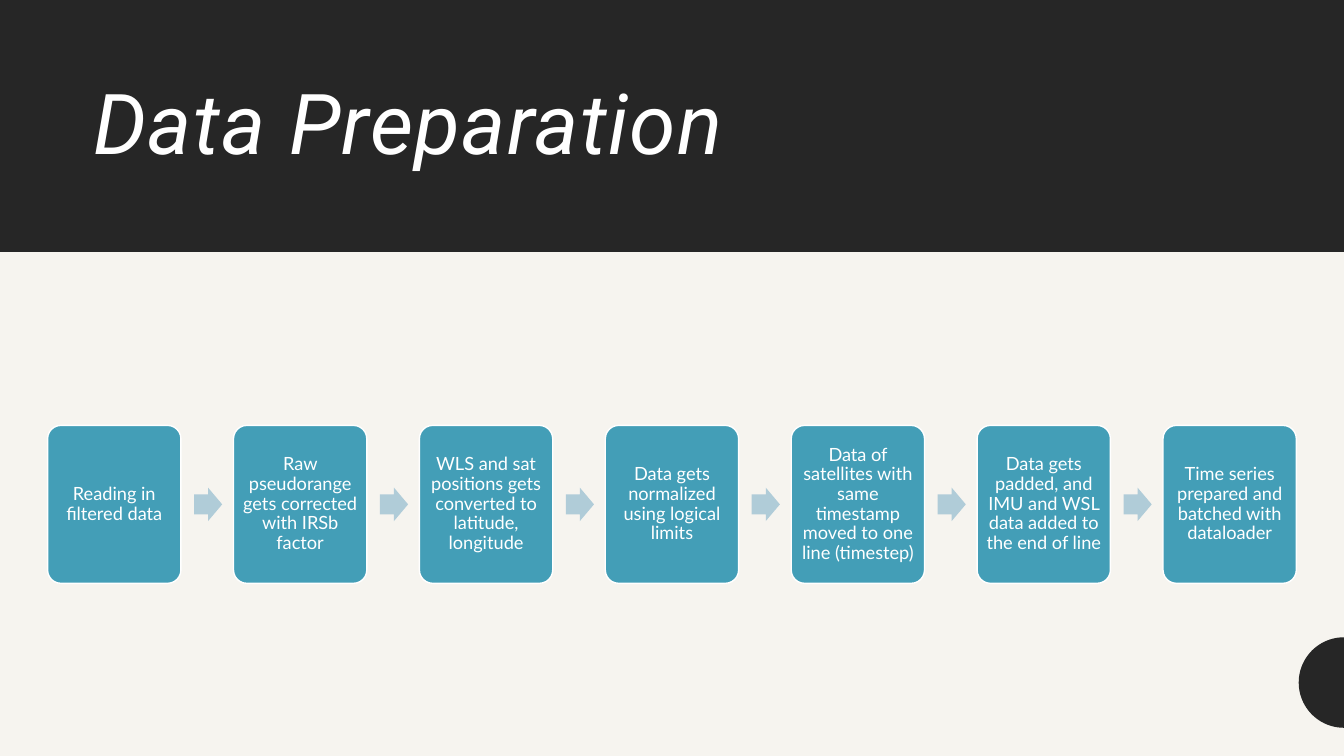
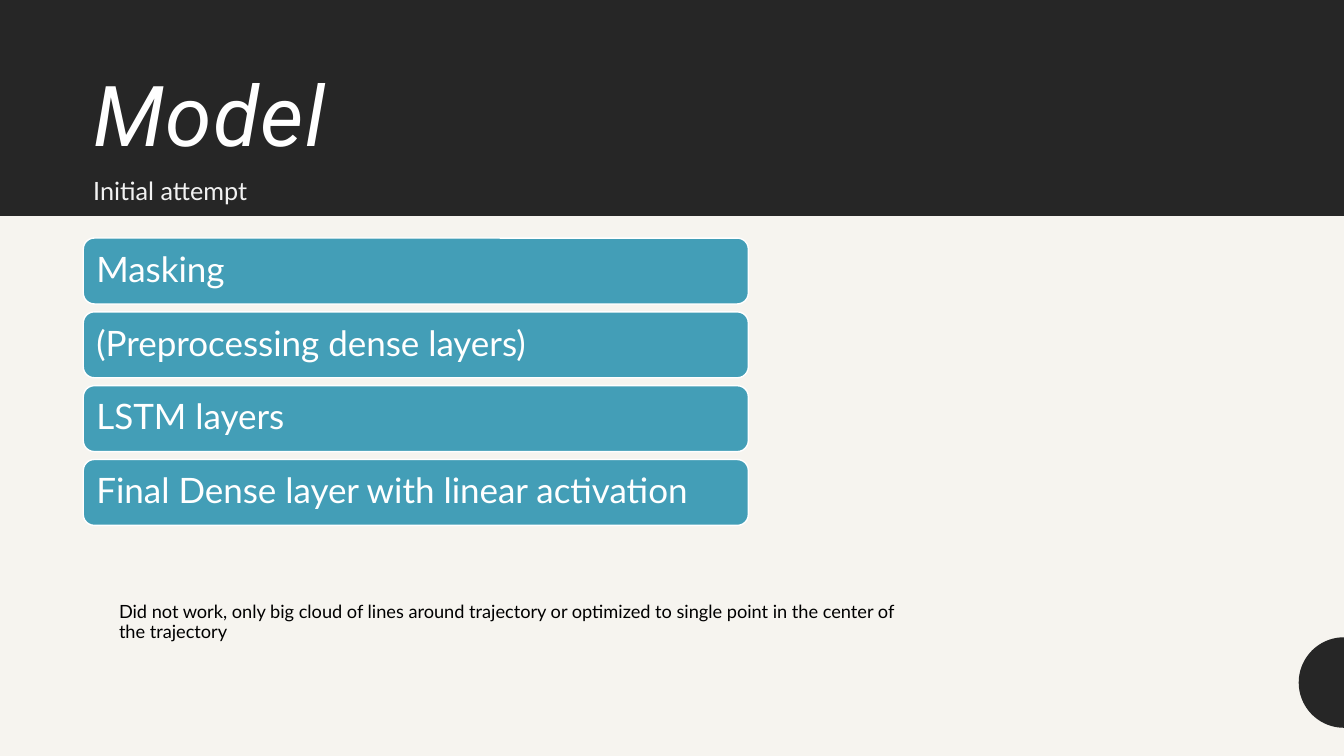
from dataclasses import dataclass
from math import cos, pi, sin

from pptx import Presentation
from pptx.dml.color import RGBColor
from pptx.enum.shapes import MSO_SHAPE
from pptx.enum.text import MSO_ANCHOR, MSO_AUTO_SIZE, PP_ALIGN
from pptx.util import Cm, Pt


@dataclass(frozen=True)
class Theme:
    paper: str = "F6F4EF"
    dark: str = "262626"
    teal: str = "439EB7"
    arrow: str = "B0CCD8"
    white: str = "FFFFFF"
    pale: str = "F2F2F2"
    black: str = "000000"
    title_font: str = "Roboto"
    body_font: str = "Lato"
    title_size: int = 60
    subtitle_size: int = 18
    layer_size: int = 25
    small_size: int = 13


THEME = Theme()
WIDTH, HEIGHT = 33.87, 19.05
MARGIN = 2.1

STEPS = [
    "Reading in filtered data",
    "Raw pseudorange gets corrected with IRSb factor",
    "WLS and sat positions gets converted to latitude, longitude",
    "Data gets normalized using logical limits",
    "Data of satellites with same timestamp moved to one line (timestep)",
    "Data gets padded, and IMU and WSL data added to the end of line",
    "Time series prepared and batched with dataloader",
]
LAYERS = [
    "Masking",
    "(Preprocessing dense layers)",
    "LSTM layers",
    "Final Dense layer with linear activation",
]


def paint(shape, fill, line=None):
    shape.shadow.inherit = False
    shape.fill.solid()
    shape.fill.fore_color.rgb = RGBColor.from_string(fill)
    if line:
        shape.line.color.rgb = RGBColor.from_string(line)
        shape.line.width = Pt(1)
    else:
        shape.line.fill.background()


def add_block(slide, kind, left, top, width, height, fill, line=None):
    block = slide.shapes.add_shape(kind, Cm(left), Cm(top), Cm(width), Cm(height))
    paint(block, fill, line)
    return block


def write(shape, text, size, color, font=THEME.body_font, inset=0.25,
          align=PP_ALIGN.LEFT, anchor=MSO_ANCHOR.MIDDLE, spacing=0.9):
    frame = shape.text_frame
    frame.word_wrap = True
    frame.vertical_anchor = anchor
    frame.margin_left = frame.margin_right = Cm(inset)
    frame.margin_top = frame.margin_bottom = Cm(min(inset, 0.13))
    paragraph = frame.paragraphs[0]
    paragraph.alignment = align
    paragraph.line_spacing = spacing
    run = paragraph.add_run()
    run.text = text
    run.font.name = font
    run.font.size = Pt(size)
    run.font.color.rgb = RGBColor.from_string(color)
    return run


def add_label(slide, left, top, width, height, text, size, color, **style):
    label = slide.shapes.add_textbox(Cm(left), Cm(top), Cm(width), Cm(height))
    return label, write(label, text, size, color, **style)


def add_half_disc(slide):
    center_y, radius, segments = 17.2, 1.14, 48
    angles = [pi / 2 + pi * i / segments for i in range(segments + 1)]
    rim = [(Cm(WIDTH + radius * cos(a)), Cm(center_y + radius * sin(a)))
           for a in angles]
    outline = slide.shapes.build_freeform(*rim[0])
    outline.add_line_segments(rim[1:], close=True)
    paint(outline.convert_to_shape(), THEME.dark)


def start_slide(deck, title, band_height, title_top, title_height):
    slide = deck.slides.add_slide(deck.slide_layouts[6])
    slide.background.fill.solid()
    slide.background.fill.fore_color.rgb = RGBColor.from_string(THEME.paper)
    add_block(slide, MSO_SHAPE.RECTANGLE, 0, 0, WIDTH, band_height, THEME.dark)
    heading = add_label(slide, MARGIN, title_top, WIDTH - 2 * MARGIN, title_height,
                        title, THEME.title_size, THEME.white,
                        font=THEME.title_font)[1]
    heading.font.italic = True
    heading.font._element.set("spc", "100")
    add_half_disc(slide)
    return slide


def add_process(slide, steps):
    edge, top, width, height = 1.2, 10.72, 3.36, 3.98
    arrow_gap, arrow_width, arrow_height = 0.33, 0.71, 0.84
    pitch = (WIDTH - 2 * edge - width) / (len(steps) - 1)
    for index, text in enumerate(steps):
        left = edge + index * pitch
        step = add_block(slide, MSO_SHAPE.ROUNDED_RECTANGLE, left, top,
                         width, height, THEME.teal, THEME.white)
        step.adjustments[0] = 0.1
        write(step, text, THEME.small_size, THEME.white, inset=0.13,
              align=PP_ALIGN.CENTER)
        if index < len(steps) - 1:
            arrow = add_block(slide, MSO_SHAPE.RIGHT_ARROW,
                              left + width + arrow_gap,
                              top + (height - arrow_height) / 2,
                              arrow_width, arrow_height, THEME.arrow)
            arrow.adjustments[0] = 0.6


def add_layers(slide, layers):
    top, width, height, pitch = 6, 16.76, 1.66, 1.86
    for index, text in enumerate(layers):
        layer = add_block(slide, MSO_SHAPE.ROUNDED_RECTANGLE, MARGIN,
                          top + index * pitch, width, height,
                          THEME.teal, THEME.white)
        write(layer, text, THEME.layer_size, THEME.white)


def build_preparation(deck):
    slide = start_slide(deck, "Data Preparation", 6.35, 1.04, 4.32)
    add_process(slide, STEPS)


def build_model(deck):
    slide = start_slide(deck, "Model", 5.44, 1.17, 3.68)
    add_layers(slide, LAYERS)
    subtitle = add_label(slide, MARGIN, 4.3, 4.52, 1.02, "Initial attempt",
                         THEME.subtitle_size, THEME.pale,
                         anchor=MSO_ANCHOR.TOP, spacing=1.0)[0]
    subtitle.text_frame.word_wrap = False
    subtitle.text_frame.auto_size = MSO_AUTO_SIZE.SHAPE_TO_FIT_TEXT
    add_label(slide, 2.87, 14.83, 19.89, 1.73,
              "Did not work, only big cloud of lines around trajectory or "
              "optimized to single point in the center of the trajectory",
              THEME.small_size, THEME.black, inset=0.13)


def main():
    deck = Presentation()
    deck.slide_width, deck.slide_height = Cm(WIDTH), Cm(HEIGHT)
    build_preparation(deck)
    build_model(deck)
    deck.save("out.pptx")


if __name__ == "__main__":
    main()
